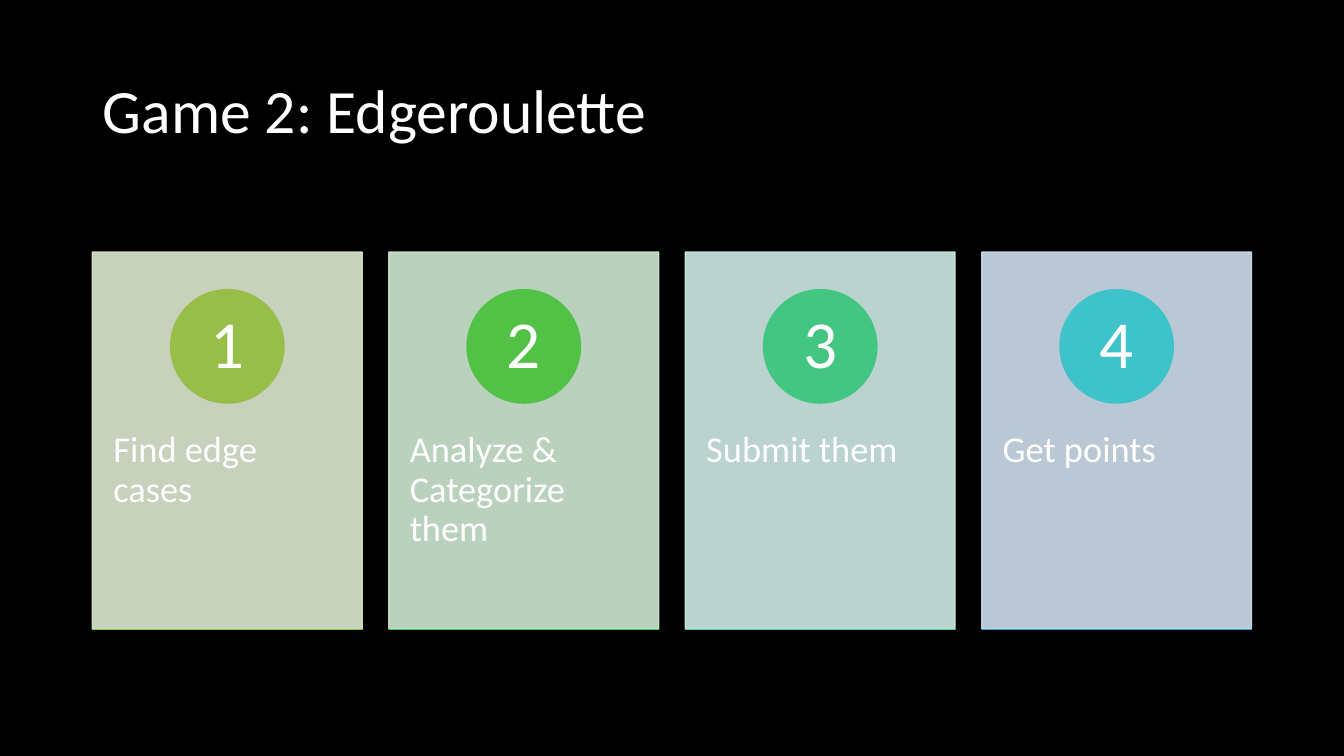
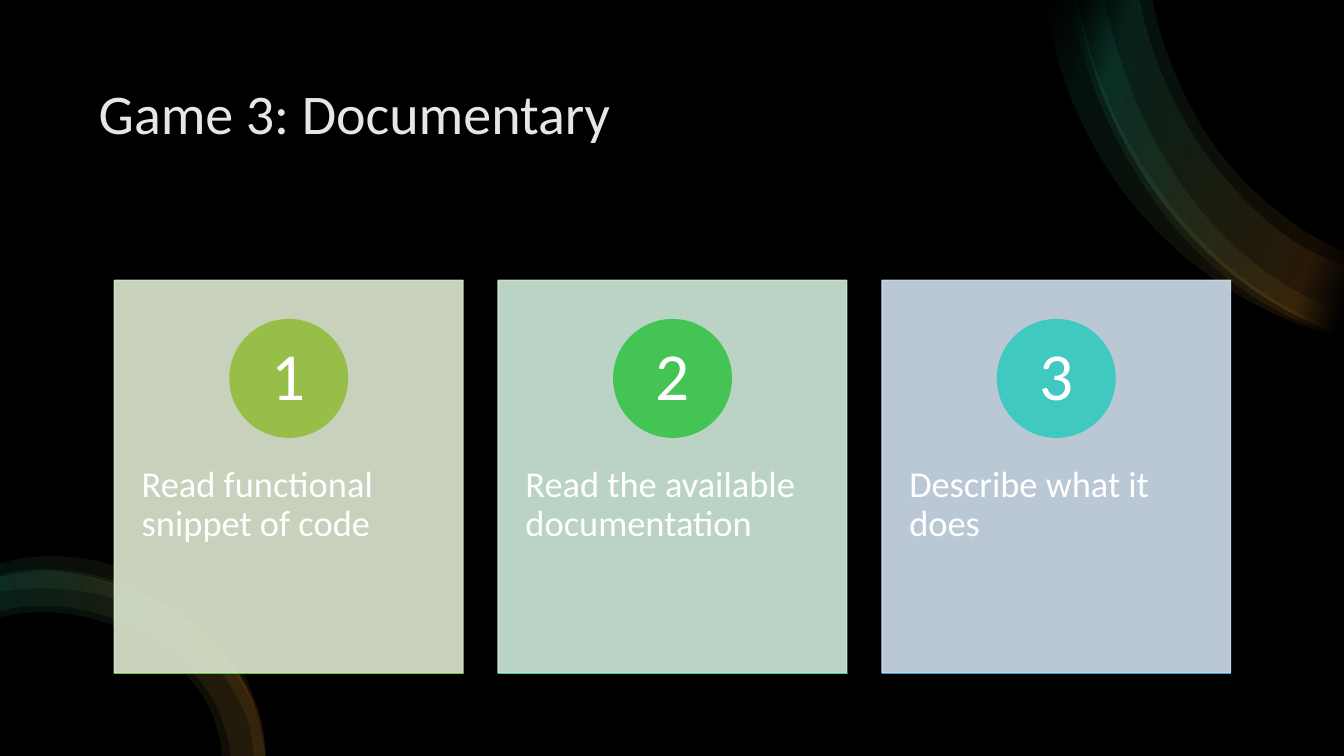
from dataclasses import dataclass
from math import dist

from lxml.etree import SubElement
from pptx import Presentation
from pptx.dml.color import RGBColor
from pptx.enum.shapes import MSO_SHAPE as Shape
from pptx.enum.text import MSO_ANCHOR as Anchor, MSO_AUTO_SIZE as AutoSize, PP_ALIGN as Align
from pptx.oxml import parse_xml
from pptx.oxml.ns import nsdecls, qn
from pptx.util import Pt

SCALE = 9525
TITLE_ONLY = 5


@dataclass(frozen=True)
class Theme:
    font: str = "Calibri"
    background: str = "000000"
    text: str = "FFFFFF"
    soft_text: str = "E7E6E6"
    title_size: int = 44
    small_title_size: int = 40
    card_size: int = 26
    number_size: int = 48
    card_alpha: int = 90
    line_width: float = 1
    rule_width: float = 0.25
    band_alpha: int = 10
    corner_angle: int = 200
    arch_angle: int = 160
    band_stops: tuple = ((2, "000000"), (16, "D58C2E"), (85, "29AF8C"), (100, "000000"))


THEME = Theme()

CORNER_OUTER = ((1280, 319), (1223, 295), (1175, 263), (1106, 192), (1055, 103), (1025, 0))
CORNER_BANDS = (
    (((1280, 322), (1231, 306), (1172, 276), (1118, 235), (1071, 184), (1035, 126),
      (1014, 77), (995, 0)),
     ((1280, 315), (1242, 300), (1181, 262), (1134, 218), (1094, 166), (1062, 110),
      (1039, 50), (1027, 0))),
    (CORNER_OUTER, ((1280, 241), (1255, 228), (1170, 157), (1112, 53), (1097, 0))),
    (((1280, 320), (1228, 301), (1174, 268), (1126, 224), (1087, 172), (1055, 114),
      (1037, 68), (1022, 0)),
     ((1280, 296), (1238, 278), (1189, 245), (1147, 203), (1112, 154), (1084, 100),
      (1063, 42), (1052, 0))),
    (CORNER_OUTER, ((1280, 253), (1249, 240), (1162, 165), (1101, 57), (1085, 0))),
)

ARCH_OUTER = ((252, 720), (227, 642), (178, 591), (112, 557), (38, 544), (0, 549))
ARCH_BANDS = (
    (ARCH_OUTER, ((211, 720), (198, 672), (159, 626), (103, 594), (38, 583), (0, 588))),
    (ARCH_OUTER, ((219, 720), (204, 669), (163, 621), (105, 588), (38, 577), (0, 582))),
    (((252, 720), (249, 690), (237, 658), (195, 602), (167, 581), (136, 564), (66, 544),
      (30, 543), (0, 548)),
     ((241, 720), (237, 692), (225, 663), (206, 636), (184, 613), (129, 579), (97, 567),
      (64, 562), (32, 561), (0, 564))),
    (((253, 720), (240, 660), (224, 627), (202, 598), (174, 573), (142, 552), (68, 531),
      (30, 531), (0, 537)),
     ((251, 720), (248, 693), (235, 661), (216, 632), (192, 606), (164, 585), (133, 567),
      (101, 555), (66, 547), (31, 545), (0, 549))),
)

ROULETTE_CARDS = (
    ("Find edge cases", "DDE8D0", "97BE49", "75C047"),
    ("Analyze & Categorize them", "CFE9D2", "51C246", "44C45C"),
    ("Submit them", "CFEBE5", "42C681", "40C8A8"),
    ("Get points", "CEDEEC", "3FC3CA", "3D9CCC"),
)
DOCUMENTARY_CARDS = (
    ("Read functional snippet of code", "DDE8D0", "97BE49", "67C147"),
    ("Read the available documentation", "CFEADB", "44C455", "42C689"),
    ("Describe what it does", "CEDEEC", "3FC9C0", "3D9CCC"),
)


def px(*lengths):
    return [round(length * SCALE) for length in lengths]


def write_text(frame, text, size, color=THEME.text, align=Align.LEFT, anchor=Anchor.TOP,
               insets=(10, 5, 10, 5)):
    frame.word_wrap = True
    frame.auto_size = AutoSize.NONE
    frame.vertical_anchor = anchor
    (frame.margin_left, frame.margin_top,
     frame.margin_right, frame.margin_bottom) = px(*insets)
    para = frame.paragraphs[0]
    para.alignment = align
    para.line_spacing = 0.9
    span = para.add_run()
    span.text = text
    span.font.name = THEME.font
    span.font.size = Pt(size)
    span.font.color.rgb = RGBColor.from_string(color)


def curve_segments(points):
    gaps = [dist(start, end) for start, end in zip(points, points[1:])]
    slopes = [[(b - a) / gap for a, b in zip(start, end)]
              for start, end, gap in zip(points, points[1:], gaps)]
    tangents = [[(a * after + b * before) / (before + after) for a, b in zip(left, right)]
                for left, right, before, after in zip(slopes, slopes[1:], gaps, gaps[1:])]
    first = [2 * a - b for a, b in zip(slopes[0], tangents[0])]
    last = [2 * a - b for a, b in zip(slopes[-1], tangents[-1])]
    tangents = [first, *tangents, last]
    return [
        ([a + m * gap / 3 for a, m in zip(start, leaving)],
         [b - m * gap / 3 for b, m in zip(end, arriving)],
         end)
        for start, end, leaving, arriving, gap
        in zip(points, points[1:], tangents, tangents[1:], gaps)]


class Pages:
    def __init__(self, deck, theme):
        self.deck = deck
        self.theme = theme
        self.page = None
        fill = deck.slide_master.background.fill
        fill.solid()
        fill.fore_color.rgb = RGBColor.from_string(theme.background)

    def add_page(self):
        self.page = self.deck.slides.add_slide(self.deck.slide_layouts[TITLE_ONLY])

    def title(self, text, area, size, color):
        box = self.page.shapes.title
        box.left, box.top, box.width, box.height = px(*area)
        write_text(box.text_frame, text, size, color=color, anchor=Anchor.MIDDLE)

    def shape(self, kind, area, color, alpha=100, line_width=THEME.line_width):
        box = self.page.shapes.add_shape(kind, *px(*area))
        box.shadow.inherit = False
        box.fill.solid()
        box.fill.fore_color.rgb = RGBColor.from_string(color)
        if line_width:
            box.line.color.rgb = RGBColor.from_string(color)
            box.line.width = Pt(line_width)
        else:
            box.line.fill.background()
        if alpha < 100:
            for tint in box._element.spPr.iter(qn("a:srgbClr")):
                SubElement(tint, qn("a:alpha"), val=str(alpha * 1000))
        return box

    def backdrop(self):
        box = self.shape(Shape.RECTANGLE, (0, 0, 1280, 720), self.theme.background,
                         line_width=0)
        self.page.shapes.title._element.addprevious(box._element)

    def card(self, number, text, area, colors):
        left, top, width, height = area
        card_color, circle_color, rule_color = colors
        side = round(width * 0.078)
        card = self.shape(Shape.RECTANGLE, area, card_color, self.theme.card_alpha)
        write_text(card.text_frame, text, self.theme.card_size,
                   insets=(side, round(height * 0.38) + 35, side, 0))
        diameter = round(height * 0.3)
        circle = self.shape(Shape.OVAL, (left + (width - diameter) / 2, top + height * 0.1,
                                         diameter, diameter), circle_color)
        write_text(circle.text_frame, str(number), self.theme.number_size,
                   align=Align.CENTER, anchor=Anchor.MIDDLE, insets=(0, 0, 0, 0))
        self.shape(Shape.RECTANGLE, (left, top + height, width, 0), rule_color,
                   line_width=self.theme.rule_width)

    def card_row(self, cards, area, card_width):
        left, top, total, height = area
        pitch = (total - card_width) / (len(cards) - 1)
        for index, (text, *colors) in enumerate(cards):
            self.card(index + 1, text, (left + index * pitch, top, card_width, height), colors)

    def band(self, outer, inner, angle):
        inner = inner[::-1]
        anchors = [px(*point) for point in outer + inner]
        builder = self.page.shapes.build_freeform(*anchors[0])
        builder.add_line_segments(anchors[1:], close=True)
        band = builder.convert_to_shape()
        band.shadow.inherit = False
        band.line.fill.background()
        self.bend(band, [*curve_segments(outer), None, *curve_segments(inner)])
        stops = "".join(
            f'<a:gs pos="{place * 1000}"><a:srgbClr val="{color}">'
            f'<a:alpha val="{self.theme.band_alpha * 1000}"/></a:srgbClr></a:gs>'
            for place, color in self.theme.band_stops)
        gradient = parse_xml(
            f'<a:gradFill {nsdecls("a")}><a:gsLst>{stops}</a:gsLst>'
            f'<a:lin ang="{angle * 60000}" scaled="0"/></a:gradFill>')
        band._element.spPr.find(qn("a:custGeom")).addnext(gradient)

    def bend(self, band, segments):
        lines = list(band._element.spPr.iter(qn("a:lnTo")))
        for line, segment in zip(lines, segments):
            if segment is None:
                continue
            curve = SubElement(line.getparent(), qn("a:cubicBezTo"))
            for point in segment:
                x, y = px(*point)
                SubElement(curve, qn("a:pt"), x=str(x - band.left), y=str(y - band.top))
            line.getparent().replace(line, curve)


def main():
    deck = Presentation()
    deck.slide_width, deck.slide_height = px(1280, 720)
    pages = Pages(deck, THEME)

    pages.add_page()
    pages.title("Game 2: Edgeroulette", (88, 39, 1104, 139), THEME.title_size, THEME.text)
    pages.card_row(ROULETTE_CARDS, (88, 240, 1104, 359), 257)

    pages.add_page()
    pages.backdrop()
    pages.title("Game 3: Documentary", (84, 48, 1111, 125),
                THEME.small_title_size, THEME.soft_text)
    for outer, inner in CORNER_BANDS:
        pages.band(outer, inner, THEME.corner_angle)
    for outer, inner in ARCH_BANDS:
        pages.band(outer, inner, THEME.arch_angle)
    pages.card_row(DOCUMENTARY_CARDS, (109, 267, 1063, 374), 332)

    deck.save("out.pptx")


if __name__ == "__main__":
    main()
